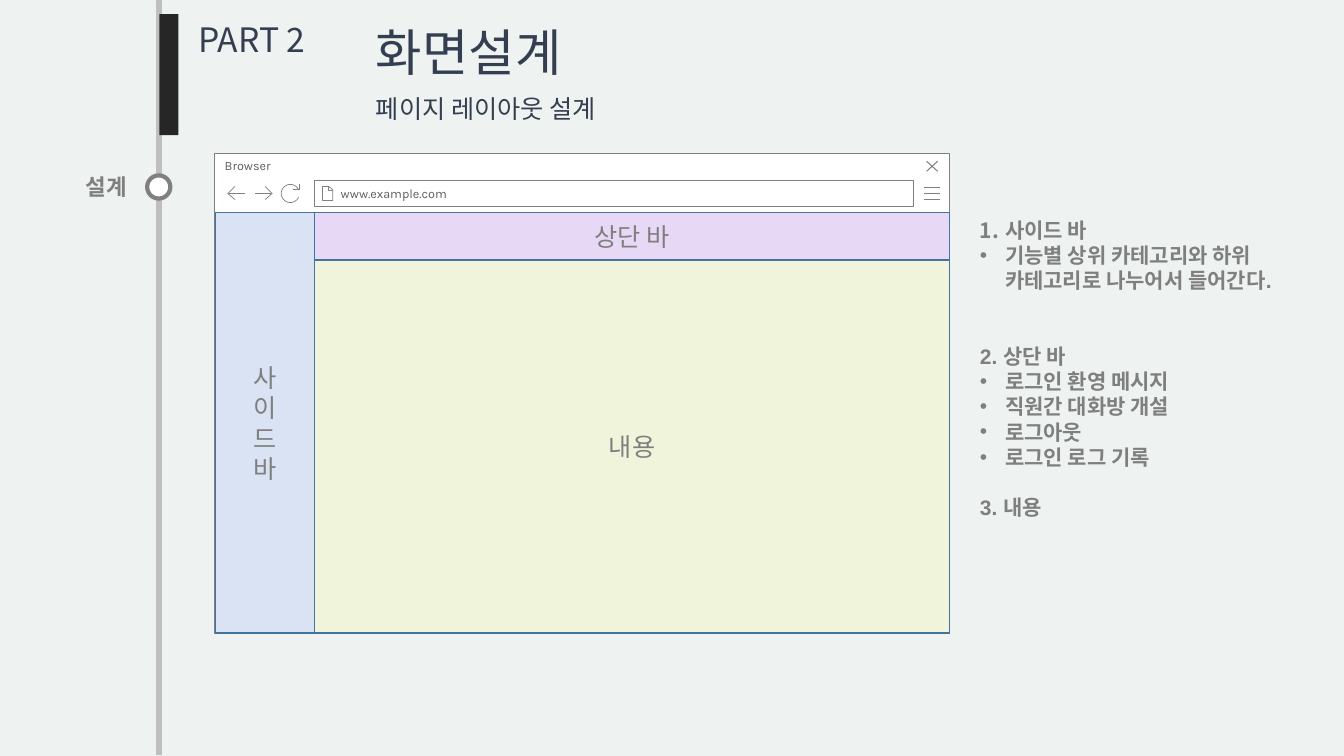
import math

import pptx
import pptx.dml.color
import pptx.enum.shapes
import pptx.enum.text
import pptx.oxml.ns
import pptx.util
from lxml import etree

Inches, Pt = pptx.util.Inches, pptx.util.Pt
RGBColor = pptx.dml.color.RGBColor
SHAPE = pptx.enum.shapes.MSO_SHAPE
ALIGN = pptx.enum.text.PP_ALIGN
ANCHOR = pptx.enum.text.MSO_ANCHOR
qn = pptx.oxml.ns.qn

BACKGROUND = RGBColor(0xEE, 0xF2, 0xF0)
RAIL = RGBColor(0xBF, 0xBF, 0xBF)
MARK = RGBColor(0x26, 0x26, 0x26)
NAVY = RGBColor(0x33, 0x3F, 0x50)
GRAY = RGBColor(0x7F, 0x7F, 0x7F)
OUTLINE = RGBColor(0x80, 0x80, 0x80)
BROWSER_TEXT = RGBColor(0x5F, 0x5F, 0x5F)
WHITE = RGBColor(0xFF, 0xFF, 0xFF)
BLUE = RGBColor(0x43, 0x73, 0x9E)
SIDE_FILL = RGBColor(0xDA, 0xE3, 0xF3)
TOP_FILL = RGBColor(0xE7, 0xD9, 0xF5)
CONTENT_FILL = RGBColor(0xF0, 0xF4, 0xDA)
KOREAN = "Noto Sans CJK KR"

# Content: text, place, size, colour, bold, wrap, alignment
HEADINGS = [
    ("설계", (0.73, 1.67, 0.65, 0.37), 16, GRAY, True, False, ALIGN.CENTER),
    ("PART 2", (1.87, 0.14, 1.27, 0.5), 24, NAVY, False, False, ALIGN.LEFT),
    ("화면설계", (3.63, 0.16, 2.22, 0.71), 36, NAVY, False, False, ALIGN.LEFT),
    ("페이지 레이아웃 설계", (3.63, 0.88, 3.8, 0.4), 18, NAVY, False, True, ALIGN.LEFT),
]
# Notes: marker, text, space before in points
NOTES = [
    ("1.", "사이드 바", 0),
    ("•", "기능별 상위 카테고리와 하위 카테고리로 나누어서 들어간다.", 0),
    (None, "2. 상단 바", 36),
    ("•", "로그인 환영 메시지", 0),
    ("•", "직원간 대화방 개설", 0),
    ("•", "로그아웃", 0),
    ("•", "로그인 로그 기록", 0),
    (None, "3. 내용", 18),
]

# Browser geometry
LEFT, RIGHT, TOP, BODY, BOTTOM = 2.13, 9.42, 1.52, 2.11, 6.28
SIDE_RIGHT, BAR_BOTTOM = 3.12, 2.58
REGIONS = [
    (["사", "이", "드", "바"], (LEFT + 0.01, BODY, SIDE_RIGHT, BOTTOM), SIDE_FILL),
    (["상단 바"], (SIDE_RIGHT, BODY, RIGHT, BAR_BOTTOM), TOP_FILL),
    (["내용"], (SIDE_RIGHT, BAR_BOTTOM, RIGHT, BOTTOM), CONTENT_FILL),
]
RELOAD_ARC = [
    (2.88 + 0.09 * math.cos(math.radians(angle)), 1.92 + 0.09 * math.sin(math.radians(angle)))
    for angle in range(25, 336, 10)
]
# Icons: line width, strokes
ICONS = [
    (0.5, [[(9.16, y), (9.32, y)] for y in (1.86, 1.92, 1.98)]),
    (0.75, [[(9.3, 1.6), (9.19, 1.7)], [(9.19, 1.6), (9.3, 1.7)]]),
    (0.5, [[(3.26, 1.85), (3.26, 1.89), (3.3, 1.89)],
           [(3.26, 1.85), (3.2, 1.85), (3.2, 1.99), (3.3, 1.99), (3.3, 1.88), (3.26, 1.85)]]),
    (0.5, [[(2.33, 1.98), (2.26, 1.92), (2.33, 1.85)], [(2.27, 1.92), (2.43, 1.92)]]),
    (0.5, [[(2.63, 1.85), (2.7, 1.92), (2.63, 1.98)], [(2.69, 1.92), (2.53, 1.92)]]),
    (0.5, [[(2.97, 1.83), (2.97, 1.88), (2.91, 1.88)], RELOAD_ARC]),
]


def style(para, font_name, size, color, bold=False):
    font = para.font
    font.size, font.bold, font.name = Pt(size), bold, font_name
    font.color.rgb = color
    if font_name == KOREAN:
        etree.SubElement(font._element, qn("a:ea"), typeface=KOREAN)


def add_text(page, place):
    return page.shapes.add_textbox(*map(Inches, place)).text_frame


def add_box(page, kind, edges, fill, line=None, width=0.5):
    left, top, right, bottom = edges
    box = page.shapes.add_shape(
        kind, Inches(left), Inches(top), Inches(right - left), Inches(bottom - top))
    box.shadow.inherit = False
    box.fill.solid()
    box.fill.fore_color.rgb = fill
    if line is None:
        box.line.fill.background()
    else:
        box.line.color.rgb = line
        box.line.width = Pt(width)
    return box


def add_lines(frame, lines, align, *font):
    for index, line in enumerate(lines):
        para = frame.paragraphs[0] if index == 0 else frame.add_paragraph()
        para.text = line
        para.alignment = align
        style(para, *font)


def add_icon(page, width, strokes):
    # Freeform points are whole numbers, so draw in EMU
    builder = None
    for stroke in strokes:
        start, *rest = [(Inches(x), Inches(y)) for x, y in stroke]
        if builder is None:
            builder = page.shapes.build_freeform(*start)
        else:
            builder.move_to(*start)
        builder.add_line_segments(rest, close=False)
    icon = builder.convert_to_shape()
    icon.shadow.inherit = False
    icon.fill.background()
    icon.line.color.rgb = OUTLINE
    icon.line.width = Pt(width)


def add_marker(para, marker):
    properties = para._p.get_or_add_pPr()
    properties.set("marL", str(Inches(0.25)))
    properties.set("indent", str(-Inches(0.25)))
    if marker == "•":
        etree.SubElement(properties, qn("a:buFont"), typeface="Arial")
        etree.SubElement(properties, qn("a:buChar"), char=marker)
    else:
        etree.SubElement(properties, qn("a:buAutoNum"), type="arabicPeriod")


def main():
    deck = pptx.Presentation()
    deck.slide_width, deck.slide_height = Inches(13.33), Inches(7.5)
    page = deck.slides.add_slide(deck.slide_layouts[6])
    page.background.fill.solid()
    page.background.fill.fore_color.rgb = BACKGROUND

    # Timeline and headings
    rail = page.shapes.add_connector(
        pptx.enum.shapes.MSO_CONNECTOR.STRAIGHT,
        Inches(1.58), 0, Inches(1.58), Inches(7.49))
    rail.line.color.rgb = RAIL
    rail.line.width = Pt(4.5)
    etree.SubElement(rail._element.spPr, qn("a:effectLst"))
    add_box(page, SHAPE.RECTANGLE, (1.58, 0.14, 1.77, 1.34), MARK)
    for text, place, size, color, bold, wrap, align in HEADINGS:
        frame = add_text(page, place)
        frame.word_wrap = wrap
        add_lines(frame, [text], align, KOREAN, size, color, bold)
    add_box(page, SHAPE.OVAL, (1.46, 1.74, 1.69, 1.97), WHITE, OUTLINE, 3)

    # Notes
    frame = add_text(page, (9.62, 2.11, 3.34, 3.13))
    frame.word_wrap = True
    for index, (marker, text, space) in enumerate(NOTES):
        para = frame.paragraphs[0] if index == 0 else frame.add_paragraph()
        para.text = text
        if marker:
            add_marker(para, marker)
        para.space_before = Pt(space)
        style(para, "Arial", 15, GRAY, True)

    # Browser window
    add_box(page, SHAPE.RECTANGLE, (LEFT, BODY, RIGHT, BOTTOM), WHITE, OUTLINE)
    for text, edges, inset, anchor in [
        ("Browser", (LEFT, TOP, RIGHT, BODY), 0.1, ANCHOR.TOP),
        ("www.example.com", (SIDE_RIGHT, 1.79, 9.06, 2.05), 0.26, ANCHOR.MIDDLE),
    ]:
        frame = add_box(page, SHAPE.RECTANGLE, edges, WHITE, OUTLINE).text_frame
        frame.margin_left = Inches(inset)
        frame.vertical_anchor = anchor
        add_lines(frame, [text], ALIGN.LEFT, "Karla", 9, BROWSER_TEXT)
    for width, strokes in ICONS:
        add_icon(page, width, strokes)

    # Layout regions
    for lines, edges, fill in REGIONS:
        frame = add_box(page, SHAPE.RECTANGLE, edges, fill, BLUE, 1).text_frame
        frame.vertical_anchor = ANCHOR.MIDDLE
        add_lines(frame, lines, ALIGN.CENTER, KOREAN, 18, GRAY)

    deck.save("out.pptx")


if __name__ == "__main__":
    main()
